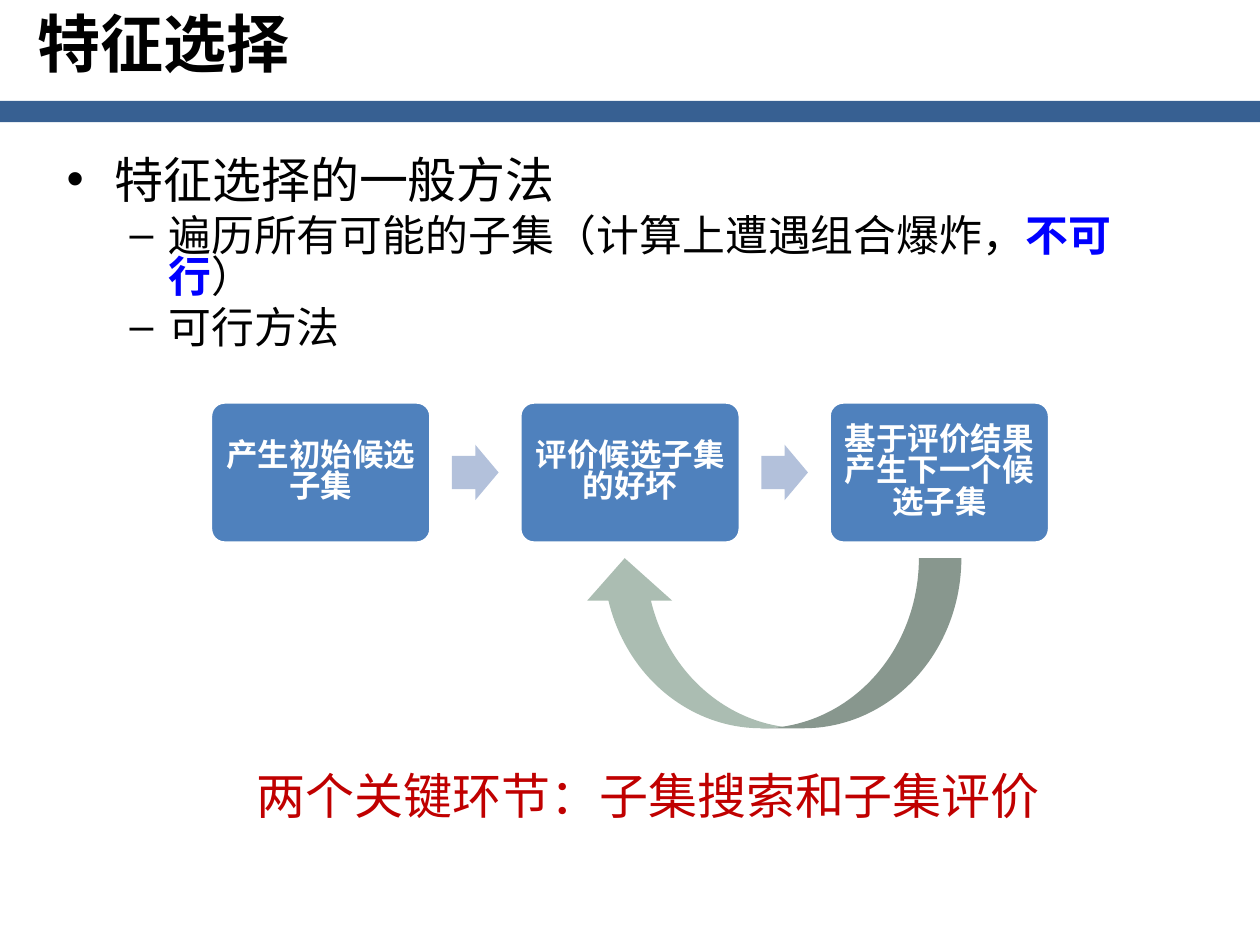
from pptx import Presentation
from pptx.dml.color import RGBColor
from pptx.enum.shapes import MSO_SHAPE
from pptx.enum.text import MSO_ANCHOR, MSO_AUTO_SIZE, PP_ALIGN
from pptx.oxml.ns import qn
from pptx.util import Inches, Pt
from lxml import etree

RECTANGLE = MSO_SHAPE.RECTANGLE
ROUNDED = MSO_SHAPE.ROUNDED_RECTANGLE
RIGHT_ARROW = MSO_SHAPE.RIGHT_ARROW
CURVED_ARROW = MSO_SHAPE.CURVED_LEFT_ARROW
TOP, MIDDLE = MSO_ANCHOR.TOP, MSO_ANCHOR.MIDDLE
LEFT, CENTER = PP_ALIGN.LEFT, PP_ALIGN.CENTER
GROW, FIXED = MSO_AUTO_SIZE.SHAPE_TO_FIT_TEXT, MSO_AUTO_SIZE.NONE

COLORS = {
    "band": "376092", "black": "000000", "emphasis": "0000FF",
    "conclusion": "C00000", "step": "4F81BD", "white": "FFFFFF",
    "step_arrow": "B3C1DB", "loop_arrow": "ABBDB2",
}
CJK_FONT = "Noto Sans CJK SC"
LATIN_FONT = "Calibri"

# Each point: level, size, font, runs of (text, emphasised)
POINTS = [
    (0, 28, CJK_FONT, [("特征选择的一般方法", False)]),
    (1, 24.5, LATIN_FONT, [("遍历所有可能的子集（计算上遭遇组合爆炸，", False),
                           ("不可行", True), ("）", False)]),
    (1, 24.5, LATIN_FONT, [("可行方法", False)]),
]
# Bullet, left margin and hanging indent of each level
LEVELS = [("•", 0.38, -0.38), ("–", 0.81, -0.31)]
STEPS = ["产生初始候选子集", "评价候选子集的好坏", "基于评价结果产生下一个候选子集"]


def color(name):
    return RGBColor.from_string(COLORS[name])


def format_run(run, size, color_name, font=CJK_FONT, bold=False):
    run.font.size = Pt(size)
    run.font.name = font
    run.font.bold = bold
    run.font.color.rgb = color(color_name)
    east_asian = etree.SubElement(run.font._element, qn("a:ea"))
    east_asian.set("typeface", CJK_FONT)


def set_bullet(paragraph, level):
    character, margin, indent = LEVELS[level]
    paragraph.level = level
    properties = paragraph._p.get_or_add_pPr()
    properties.set("marL", str(Inches(margin)))
    properties.set("indent", str(Inches(indent)))
    font = etree.SubElement(properties, qn("a:buFont"))
    font.set("typeface", "Arial")
    etree.SubElement(properties, qn("a:buChar")).set("char", character)


def add_filled_shape(slide, kind, box, fill):
    shape = slide.shapes.add_shape(kind, *map(Inches, box))
    shape.shadow.inherit = False
    shape.fill.solid()
    shape.fill.fore_color.rgb = color(fill)
    shape.line.fill.background()
    return shape


def add_header(slide, box):
    left, top, width, height = box
    add_filled_shape(slide, RECTANGLE, (left, top + 0.8, width, height - 0.8), "band")
    title = slide.shapes.title
    title.left, title.top = Inches(left + 0.2), Inches(top + 0.05)
    title.width, title.height = Inches(8.5), Inches(0.55)
    frame = title.text_frame
    frame.text = "特征选择"
    frame.vertical_anchor = TOP
    frame.auto_size = FIXED
    paragraph = frame.paragraphs[0]
    paragraph.alignment = LEFT
    paragraph.line_spacing = 0.9
    format_run(paragraph.runs[0], 36, "black", bold=True)


def add_points(slide, box):
    frame = slide.shapes.add_textbox(*map(Inches, box)).text_frame
    frame.word_wrap = True
    for index, (level, size, font, runs) in enumerate(POINTS):
        paragraph = frame.add_paragraph() if index else frame.paragraphs[0]
        paragraph.line_spacing = 0.8
        paragraph.space_before = Pt(5.6)
        set_bullet(paragraph, level)
        for text, emphasised in runs:
            run = paragraph.add_run()
            run.text = text
            format_run(run, size, "emphasis" if emphasised else "black", font, emphasised)


def add_step(slide, box, text):
    step = add_filled_shape(slide, ROUNDED, box, "step")
    step.adjustments[0] = 0.1
    step.line.color.rgb = color("white")
    step.line.width = Pt(2)
    frame = step.text_frame
    frame.word_wrap = True
    frame.vertical_anchor = MIDDLE
    frame.margin_left = frame.margin_right = Inches(0.07)
    frame.margin_top = frame.margin_bottom = Inches(0.07)
    frame.text = text
    paragraph = frame.paragraphs[0]
    paragraph.alignment = CENTER
    paragraph.line_spacing = 0.83
    format_run(paragraph.runs[0], 18, "white", LATIN_FONT, True)


def add_process(slide, box):
    left, top, width, height = box
    step_width, arrow_width, arrow_height = 1.75, 0.37, 0.44
    pitch = (width - step_width) / (len(STEPS) - 1)
    for index, text in enumerate(STEPS):
        step_left = left + index * pitch
        add_step(slide, (step_left, top, step_width, height), text)
        if index:
            # Arrow centred in the gap before this step
            arrow_left = step_left - (pitch - step_width + arrow_width) / 2
            arrow_top = top + (height - arrow_height) / 2
            arrow = add_filled_shape(slide, RIGHT_ARROW,
                                     (arrow_left, arrow_top, arrow_width, arrow_height),
                                     "step_arrow")
            arrow.adjustments[0] = 0.6
            arrow.adjustments[1] = 0.5


def add_loop(slide, box):
    # The box is that of the arrow before its quarter turn
    add_filled_shape(slide, CURVED_ARROW, box, "loop_arrow").rotation = 90


def add_conclusion(slide, box):
    frame = slide.shapes.add_textbox(*map(Inches, box)).text_frame
    frame.word_wrap = True
    frame.auto_size = GROW
    frame.text = "两个关键环节：子集搜索和子集评价"
    format_run(frame.paragraphs[0].runs[0], 28, "conclusion")


def main():
    presentation = Presentation()
    presentation.slide_width, presentation.slide_height = Inches(10), Inches(7.5)
    slide = presentation.slides.add_slide(presentation.slide_layouts[5])
    add_header(slide, (0, 0, 10, 0.97))
    add_points(slide, (0.43, 1.23, 9.13, 5.75))
    add_loop(slide, (5.45, 3.6, 1.35, 3.01))
    add_conclusion(slide, (1.94, 6.03, 6.6, 0.57))
    add_process(slide, (1.67, 3.19, 6.66, 1.12))
    presentation.save("out.pptx")


if __name__ == "__main__":
    main()
